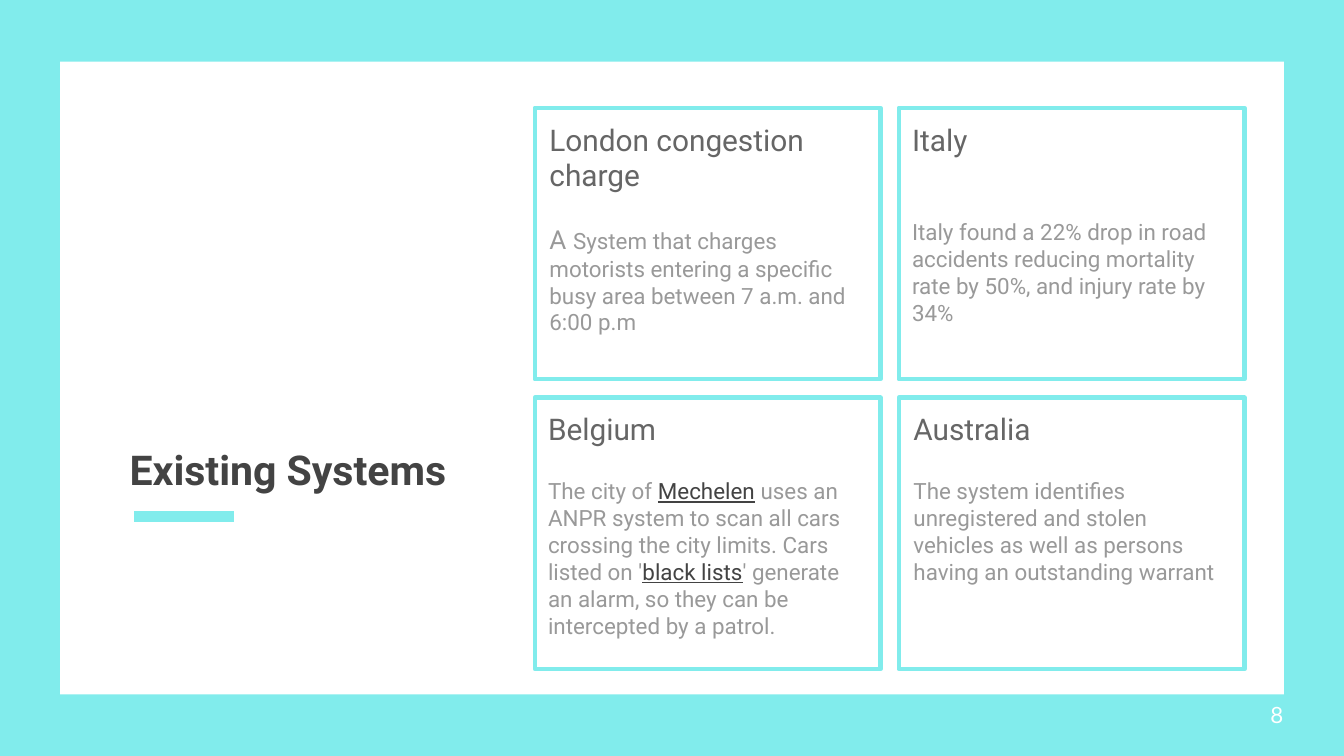
from dataclasses import dataclass

from lxml import etree
from pptx import Presentation
from pptx.dml.color import RGBColor
from pptx.enum.shapes import MSO_CONNECTOR, MSO_SHAPE
from pptx.enum.text import MSO_ANCHOR, MSO_AUTO_SIZE, PP_ALIGN
from pptx.oxml.ns import qn
from pptx.util import Emu, Pt

RECTANGLE = MSO_SHAPE.RECTANGLE
STRAIGHT = MSO_CONNECTOR.STRAIGHT
MIDDLE, TOP = MSO_ANCHOR.MIDDLE, MSO_ANCHOR.TOP
LEFT = PP_ALIGN.LEFT
NO_AUTOFIT = MSO_AUTO_SIZE.NONE
EMU_PER_PX = 9525


@dataclass(frozen=True)
class Theme:
    accent: str = "81ECEC"
    white: str = "FFFFFF"
    title: str = "434343"
    heading: str = "666666"
    body: str = "999999"
    font: str = "Roboto"
    number_font: str = "Lato"
    title_size: int = 22
    heading_size: int = 16
    lead_size: int = 14
    body_size: int = 12
    blank_line: float = 16.4


THEME = Theme()


@dataclass(frozen=True)
class Box:
    left: int
    top: int
    width: int
    height: int


@dataclass(frozen=True)
class Span:
    text: str
    size: int = THEME.body_size
    color: str = THEME.body
    underline: bool = False


@dataclass(frozen=True)
class Card:
    heading: str
    body: tuple[Span, ...]
    gap_lines: int = 1
    text_shift: int = 0


PAGE = Box(0, 0, 960, 540)
PANEL = Box(43, 44, 874, 452)
TITLE = Box(83, 298, 267, 74)
PAGE_NUMBER = Box(898, 490, 58, 41)
FIRST_CARD = Box(382, 77, 247, 194)
CARD_GAP = 13
COLUMNS = 2

CARDS = (
    Card("London congestion charge", (
        Span("A ", size=THEME.lead_size),
        Span("System that charges motorists entering a specific busy area "
             "between 7 a.m. and 6:00 p.m"),
    ), text_shift=1),
    Card("Italy", (
        Span("Italy found a 22% drop in road accidents reducing mortality "
             "rate by 50%, and injury rate by 34%"),
    ), gap_lines=2),
    Card("Belgium", (
        Span("The city of "),
        Span("Mechelen", color=THEME.title, underline=True),
        Span(" uses an ANPR system to scan all cars crossing the city limits. "
             "Cars listed on '"),
        Span("black lists", color=THEME.title, underline=True),
        Span("' generate an alarm, so they can be intercepted by a patrol."),
    )),
    Card("Australia", (
        Span("The system identifies unregistered and stolen vehicles as well "
             "as persons having an outstanding warrant"),
    ), text_shift=1),
)


def px(length: int) -> Emu:
    return Emu(length * EMU_PER_PX)


def rgb(color: str) -> RGBColor:
    return RGBColor.from_string(color)


def edges(box: Box) -> tuple[Emu, ...]:
    return px(box.left), px(box.top), px(box.width), px(box.height)


def add_span(para, text: str, *, size: int, color: str, font: str = THEME.font,
             bold: bool = False, underline: bool = False) -> None:
    run = para.add_run()
    run.text = text
    run.font.name = font
    run.font.size = Pt(size)
    run.font.bold = bold
    run.font.underline = underline
    run.font.color.rgb = rgb(color)


def prepare_frame(shape, anchor):
    """Set wrapping and anchoring, and return the first paragraph."""
    frame = shape.text_frame
    frame.word_wrap = True
    frame.auto_size = NO_AUTOFIT
    frame.vertical_anchor = anchor
    frame.margin_left = frame.margin_right = Pt(7.2)
    frame.margin_top = frame.margin_bottom = Pt(7.2)
    para = frame.paragraphs[0]
    para.alignment = LEFT
    return para


def add_rectangle(page, box: Box, *, fill: str = "", line: str = "") -> None:
    shape = page.shapes.add_shape(RECTANGLE, *edges(box))
    shape.shadow.inherit = False
    if fill:
        shape.fill.solid()
        shape.fill.fore_color.rgb = rgb(fill)
    else:
        shape.fill.background()
    if line:
        shape.line.color.rgb = rgb(line)
        shape.line.width = Pt(2.25)
    else:
        shape.line.fill.background()


def add_title_rule(page) -> None:
    rule = page.shapes.add_connector(STRAIGHT, px(96), px(369), px(167), px(369))
    rule.line.color.rgb = rgb(THEME.accent)
    rule.line.width = Pt(6)
    etree.SubElement(rule._element.spPr, qn("a:effectLst"))


def add_card_text(page, box: Box, card: Card) -> None:
    shape = page.shapes.add_textbox(*edges(box))
    heading = prepare_frame(shape, TOP)
    add_span(heading, card.heading, size=THEME.heading_size, color=THEME.heading)
    body = shape.text_frame.add_paragraph()
    body.alignment = LEFT
    body.space_before = Pt(card.gap_lines * THEME.blank_line)
    for span in card.body:
        add_span(body, span.text, size=span.size, color=span.color,
                 underline=span.underline)


def add_cards(page) -> None:
    for index, card in enumerate(CARDS):
        row, column = divmod(index, COLUMNS)
        left = FIRST_CARD.left + column * (FIRST_CARD.width + CARD_GAP)
        top = FIRST_CARD.top + row * (FIRST_CARD.height + CARD_GAP)
        width, height = FIRST_CARD.width, FIRST_CARD.height
        add_rectangle(page, Box(left, top, width, height), line=THEME.accent)
        shift = card.text_shift
        add_card_text(page, Box(left + shift, top, width - shift, height), card)


def add_title(page) -> None:
    title = page.shapes.title
    title.left, title.top, title.width, title.height = edges(TITLE)
    add_span(prepare_frame(title, MIDDLE), "Existing Systems",
             size=THEME.title_size, color=THEME.title, bold=True)


def add_page_number(page) -> None:
    shape = page.shapes.add_textbox(*edges(PAGE_NUMBER))
    add_span(prepare_frame(shape, MIDDLE), "8", size=THEME.body_size,
             color=THEME.white, font=THEME.number_font)


def main() -> None:
    deck = Presentation()
    deck.slide_width, deck.slide_height = px(PAGE.width), px(PAGE.height)
    page = deck.slides.add_slide(deck.slide_layouts[5])
    page.background.fill.solid()
    page.background.fill.fore_color.rgb = rgb(THEME.accent)
    add_rectangle(page, PANEL, fill=THEME.white)
    # The title placeholder comes first in the page, so raise it above the panel.
    page.shapes._spTree.append(page.shapes.title._element)
    add_title(page)
    add_title_rule(page)
    add_cards(page)
    add_page_number(page)
    deck.save("out.pptx")


if __name__ == "__main__":
    main()
